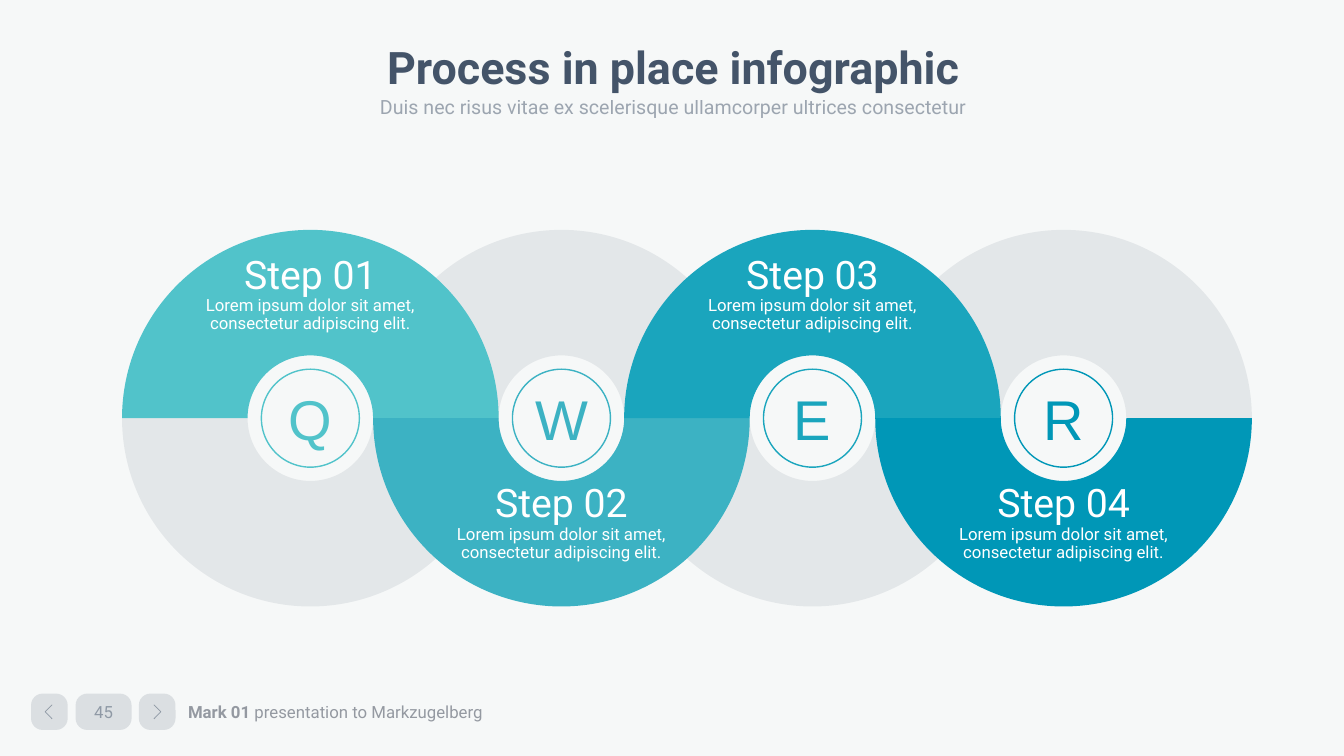
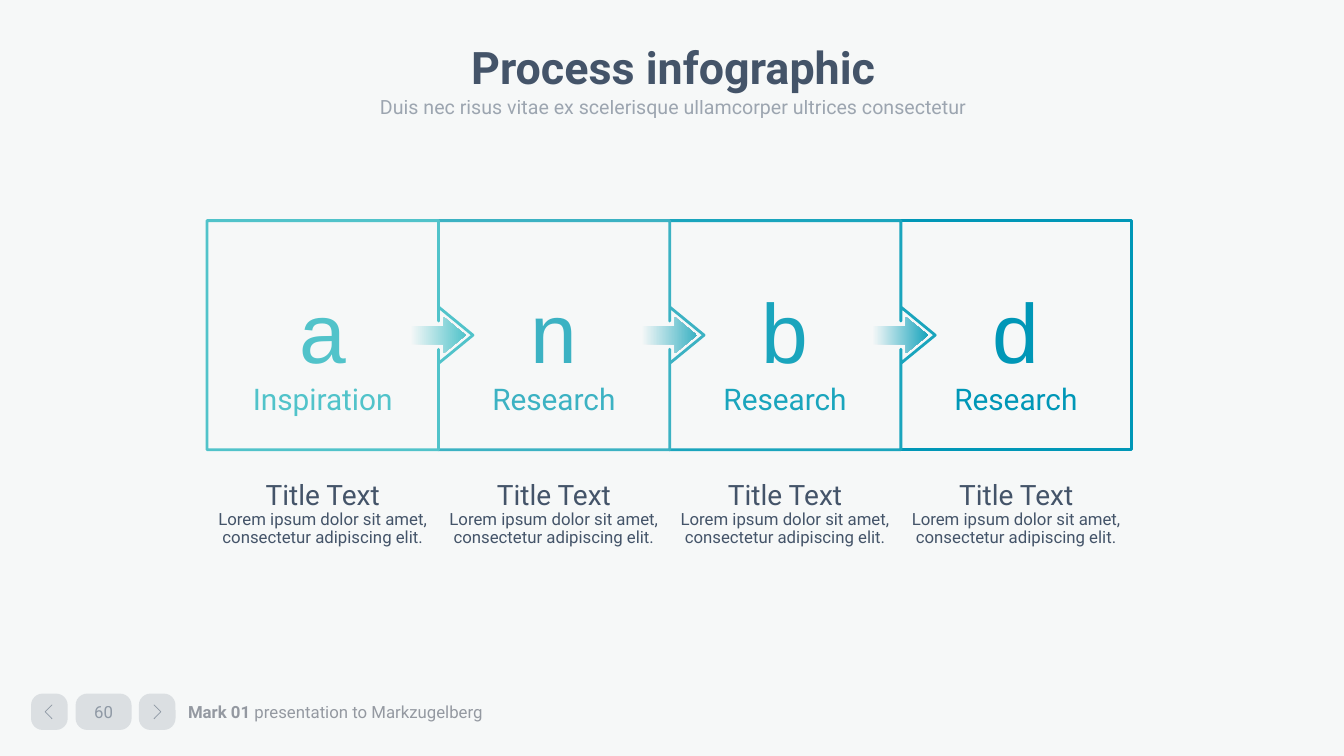
from lxml import etree
from pptx import Presentation
from pptx import util as u
from pptx.dml.color import RGBColor
from pptx.enum import shapes as sh
from pptx.enum import text as tx
from pptx.oxml.ns import qn

Pt = u.Pt
KIND = sh.MSO_SHAPE
ANCHOR = tx.MSO_ANCHOR
CENTER = tx.PP_ALIGN.CENTER

HUES = {
    "page": "F6F8F8", "ink": "445469", "note": "9499A1", "white": "FFFFFF",
    "aqua": "51C3CA", "teal": "3CB2C3", "lagoon": "1AA5BD", "ocean": "0097B7",
}
STEPS = ["aqua", "teal", "lagoon", "ocean"]
LOREM = "Lorem ipsum dolor sit amet, consectetur adipiscing elit."
LEAD = "Duis nec risus vitae ex scelerisque ullamcorper ultrices consectetur"


def hue(name):
    return RGBColor.from_string(HUES[name])


def fade(node, alpha):
    """Set the opacity, in percent, of every colour below a node."""
    if alpha < 100:
        for mark in node.iter(qn("a:srgbClr")):
            etree.SubElement(mark, qn("a:alpha"), val=str(alpha * 1000))


def write(para, text, size=12, color="ink", font="Roboto", bold=False,
          alpha=100, align=CENTER, lead=1.0):
    """Add one formatted run to a paragraph."""
    para.alignment = align
    para.line_spacing = lead
    para.space_before = Pt(0)
    run = para.add_run()
    run.text = text
    run.font.size = Pt(size)
    run.font.name = font
    run.font.bold = bold
    run.font.color.rgb = hue(color)
    fade(run._r, alpha)


class Deck:
    """Shared style and the slide being built."""

    def __init__(self):
        self.prs = Presentation()
        self.prs.slide_width, self.prs.slide_height = Pt(960), Pt(540)
        back = self.prs.slide_master.background.fill
        back.solid()
        back.fore_color.rgb = hue("page")

    # Slide with title, lead and footer
    def start(self, title, page):
        self.slide = self.prs.slides.add_slide(self.prs.slide_layouts[1])
        self.items = self.slide.shapes
        head, body = self.slide.placeholders
        para = self.place(head, 67, 29, 828, 40)
        write(para, title, size=32, bold=True, lead=0.9)
        para = self.place(body, 141, 61, 680, 30)
        ppr = para._p.get_or_add_pPr()
        ppr.set("marL", "0")
        ppr.set("indent", "0")
        etree.SubElement(ppr, qn("a:buNone"))
        write(para, LEAD, size=14, alpha=50, lead=1.2)
        self.foot(page)

    def place(self, holder, x, y, w, h):
        holder.left, holder.top = Pt(x), Pt(y)
        holder.width, holder.height = Pt(w), Pt(h)
        return self.frame(holder, (7.2, 3.6))

    def foot(self, page):
        para = self.label(125.3, 496, 264, 24.5, (9, 5), ANCHOR.MIDDLE)
        look = dict(color="note", align=tx.PP_ALIGN.LEFT)
        write(para, "Mark 01 ", bold=True, **look)
        write(para, "presentation to Markzugelberg", **look)
        for x, w in ((22.2, 26.2), (54, 40), (99.2, 26.2)):
            pill = self.shape(KIND.ROUNDED_RECTANGLE, x, 495.4, w, 26,
                              fill="ink", alpha=15, adj=[0.32])
            if w == 40:
                write(self.frame(pill, (0, 0), ANCHOR.MIDDLE), str(page), alpha=50)
        for tip, end in ((32.2, 37.2), (115, 110)):
            self.angle(tip, end, 508.4)

    # Elements
    def frame(self, item, pad=(7.2, 3.6), anchor=ANCHOR.TOP):
        """Prepare a text frame and return its first paragraph."""
        box = item.text_frame
        box.word_wrap = True
        box.auto_size = tx.MSO_AUTO_SIZE.NONE
        box.vertical_anchor = anchor
        box.margin_left = box.margin_right = Pt(pad[0])
        box.margin_top = box.margin_bottom = Pt(pad[1])
        return box.paragraphs[0]

    def label(self, x, y, w, h, pad=(7.2, 3.6), anchor=ANCHOR.TOP):
        box = self.items.add_textbox(Pt(x), Pt(y), Pt(w), Pt(h))
        return self.frame(box, pad, anchor)

    def blurb(self, x, y, w, h, title, size, color, pad=(7.2, 3.6)):
        """Heading with a short text below it."""
        box = self.items.add_textbox(Pt(x), Pt(y), Pt(w), Pt(h))
        write(self.frame(box, pad), title, size=size, color=color)
        write(box.text_frame.add_paragraph(), LOREM, color=color, lead=0.9)

    def paint(self, item, fill=None, line=None, width=1, alpha=100):
        item.shadow.inherit = False
        if fill:
            item.fill.solid()
            item.fill.fore_color.rgb = hue(fill)
        else:
            item.fill.background()
        if line:
            item.line.color.rgb = hue(line)
            item.line.width = Pt(width)
        else:
            item.line.fill.background()
        fade(item.element.spPr, alpha)
        return item

    def shape(self, kind, x, y, w, h, adj=(), **look):
        item = self.items.add_shape(kind, Pt(x), Pt(y), Pt(w), Pt(h))
        for i, value in enumerate(adj):
            item.adjustments[i] = value
        return self.paint(item, **look)

    def angle(self, tip, end, mid):
        """Thin chevron whose point is at tip."""
        pen = self.items.build_freeform(Pt(end), Pt(mid - 5))
        pen.add_line_segments([(Pt(tip), Pt(mid)), (Pt(end), Pt(mid + 5))],
                              close=False)
        self.paint(pen.convert_to_shape(), line="ink", width=0.5, alpha=50)

    def half(self, x, y, size, upper, **look):
        """Half ring whose hole is a third of its width."""
        turn = (108, 0) if upper else (0, 108)
        self.shape(KIND.BLOCK_ARC, x, y, size, size, adj=(*turn, 1 / 3), **look)

    def arrow(self, x, y, w, h, color):
        """Arrow that fades in from the page colour."""
        item = self.shape(KIND.RIGHT_ARROW, x, y, w, h, adj=(0.5, 0.605))
        item.fill.gradient()
        item.fill.gradient_angle = 0
        for stop, name, at in zip(item.fill.gradient_stops, ("page", color), (0, 1)):
            stop.color.rgb = hue(name)
            stop.position = at
        return item


def rings(deck):
    deck.start("Process in place infographic", 45)
    size, left, top = 269, 87.2, 164.2
    mid = top + size / 2
    spots = [left + i * size * 2 / 3 for i in range(4)]

    # Grey halves lie below the coloured ones
    for i, x in enumerate(spots):
        deck.half(x, top, size, i % 2 == 1, fill="ink", alpha=10)
    for i, (x, color) in enumerate(zip(spots, STEPS)):
        deck.half(x, top, size, i % 2 == 0, fill=color)

    # Captions and letters
    for i, (x, color, sign) in enumerate(zip(spots, STEPS, "QWER")):
        y = mid + 43.2 if i % 2 else top + 14.4
        deck.blurb(x + 36, y, size - 72, 65, f"Step {i + 1:02}", 28, "white", (0, 0))
        dot = deck.shape(KIND.OVAL, x + size / 2 - 35, mid - 35, 70, 70, line=color)
        write(deck.frame(dot, (0, 0), ANCHOR.MIDDLE), sign,
              size=40, color=color, font="Arial")


def boxes(deck):
    deck.start("Process infographic", 60)
    left, top, step, high = 147.8, 157.6, 165.1, 163.6
    names = ["Inspiration"] + ["Research"] * 3
    cards = list(enumerate(zip(STEPS, "anbd", names)))

    # Cards from last to first, so that each arrow lies on the next card
    for i, (color, sign, name) in reversed(cards):
        x, last = left + i * step, i == 3
        look = dict(fill="page", line=color, width=2)
        if last:
            card = deck.shape(KIND.RECTANGLE, x, top, step, high, **look)
        else:
            card = deck.shape(KIND.RIGHT_ARROW_CALLOUT, x, top, 190, high,
                              adj=(0.123, 0.123, 0.15, 0.871), **look)
        write(deck.frame(card, (9, 24), ANCHOR.BOTTOM), sign,
              size=60, color=color, font="Arial")
        write(card.text_frame.add_paragraph(), name, size=21.3, color=color)
        if not last:
            dart = deck.arrow(x + 145.2, top + high / 2 - 13, 39.6, 26, color)
            deck.items.add_group_shape([card, dart])

    # Captions
    for i in range(4):
        deck.blurb(left + i * step, 337.7, 165.6, 57.6, "Title Text", 20, "ink")


def main():
    deck = Deck()
    rings(deck)
    boxes(deck)
    deck.prs.save("out.pptx")


if __name__ == "__main__":
    main()
